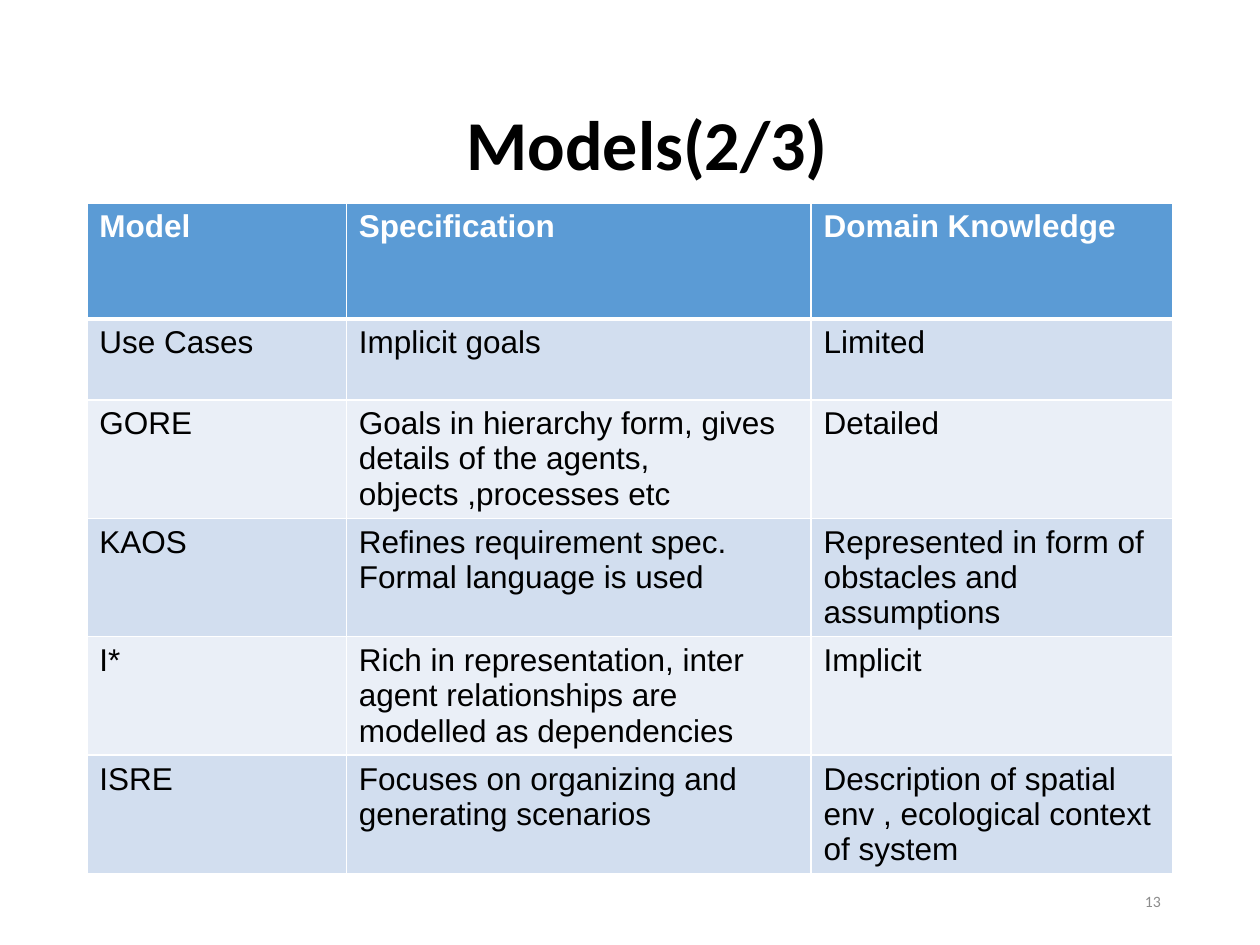
import pptx
import pptx.dml.color
import pptx.enum.text
import pptx.oxml
import pptx.oxml.ns
import pptx.util
from pptx.util import Cm

COLOURS = {
    "black": "000000",
    "white": "FFFFFF",
    "header": "5B9BD5",
    "odd_row": "D2DEEF",
    "even_row": "EAEFF7",
    "number": "8C8C8C",
}
LEFT = 1.75
COLUMN_WIDTHS = (5.23, 9.37, 7.3)
HEADER_HEIGHT, ROW_HEIGHT = 2.34, 1.63
MODELS = (
    ("Model", "Specification", "Domain Knowledge"),
    ("Use Cases", "Implicit goals", "Limited"),
    ("GORE",
     "Goals in hierarchy form, gives details of the agents, objects ,processes etc",
     "Detailed"),
    ("KAOS",
     "Refines requirement spec. Formal language is used",
     "Represented in form of obstacles and assumptions"),
    ("I*",
     "Rich in representation, inter agent relationships are modelled as dependencies",
     "Implicit"),
    ("ISRE",
     "Focuses on organizing and generating scenarios",
     "Description of spatial env , ecological context of system"),
)


def colour(name):
    return pptx.dml.color.RGBColor.from_string(COLOURS[name])


class SlideBuilder:
    """Holds the style and the current slide."""

    heading_font = "Calibri"
    table_font = "Arial"

    def __init__(self, slide):
        self.slide = slide

    def format_text(self, text_frame, font, size, colour_name, bold=False, align=None):
        for paragraph in text_frame.paragraphs:
            paragraph.alignment = align
            for run in paragraph.runs:
                run.font.name = font
                run.font.size = pptx.util.Pt(size)
                run.font.bold = bold
                run.font.color.rgb = colour(colour_name)

    def title(self, text, left, top, width, height):
        shape = self.slide.shapes.title
        shape.left, shape.top = Cm(left), Cm(top)
        shape.width, shape.height = Cm(width), Cm(height)
        frame = shape.text_frame
        frame.text = text
        frame.vertical_anchor = pptx.enum.text.MSO_ANCHOR.MIDDLE
        self.format_text(frame, self.heading_font, 40, "black", True,
                         pptx.enum.text.PP_ALIGN.CENTER)
        frame.paragraphs[0].line_spacing = 0.9

    def slide_number(self, text, left, top, width, height):
        shape = self.slide.shapes.add_textbox(Cm(left), Cm(top), Cm(width), Cm(height))
        frame = shape.text_frame
        frame.word_wrap = True
        frame.text = text
        frame.vertical_anchor = pptx.enum.text.MSO_ANCHOR.MIDDLE
        self.format_text(frame, self.heading_font, 9, "number",
                         align=pptx.enum.text.PP_ALIGN.RIGHT)

    def cell_borders(self, cell, top, bottom):
        """Draw white borders; top and bottom are widths in points."""
        properties = cell._tc.get_or_add_tcPr()
        for side, width in (("L", 1), ("R", 1), ("T", top), ("B", bottom)):
            properties.append(pptx.oxml.parse_xml(
                f'<a:ln{side} {pptx.oxml.ns.nsdecls("a")} w="{pptx.util.Pt(width)}">'
                f'<a:solidFill><a:srgbClr val="{COLOURS["white"]}"/></a:solidFill>'
                f'</a:ln{side}>'))

    def table(self, rows, left, top):
        height = HEADER_HEIGHT + ROW_HEIGHT * (len(rows) - 1)
        table = self.slide.shapes.add_table(
            len(rows), len(COLUMN_WIDTHS), Cm(left), Cm(top),
            Cm(sum(COLUMN_WIDTHS)), Cm(height)).table
        for column, width in zip(table.columns, COLUMN_WIDTHS):
            column.width = Cm(width)
        for index, texts in enumerate(rows):
            is_header = index == 0
            table.rows[index].height = Cm(HEADER_HEIGHT if is_header else ROW_HEIGHT)
            fill = "header" if is_header else ("odd_row" if index % 2 else "even_row")
            for cell, text in zip(table.rows[index].cells, texts):
                cell.text_frame.text = text
                self.format_text(cell.text_frame, self.table_font, 18,
                                 "white" if is_header else "black", is_header)
                self.cell_borders(cell, top=3 if index == 1 else 1,
                                  bottom=3 if is_header else 1)
                cell.fill.solid()
                cell.fill.fore_color.rgb = colour(fill)


def main():
    presentation = pptx.Presentation()
    presentation.slide_width, presentation.slide_height = Cm(25.4), Cm(19.05)
    title_only = presentation.slide_layouts[5]
    builder = SlideBuilder(presentation.slides.add_slide(title_only))
    builder.title("Models(2/3)", LEFT, 1.96, 22.6, 2.06)
    builder.table(MODELS, LEFT, 4.09)
    builder.slide_number("13", 17.93, 17.65, 5.72, 1.02)
    presentation.save("out.pptx")


if __name__ == "__main__":
    main()
